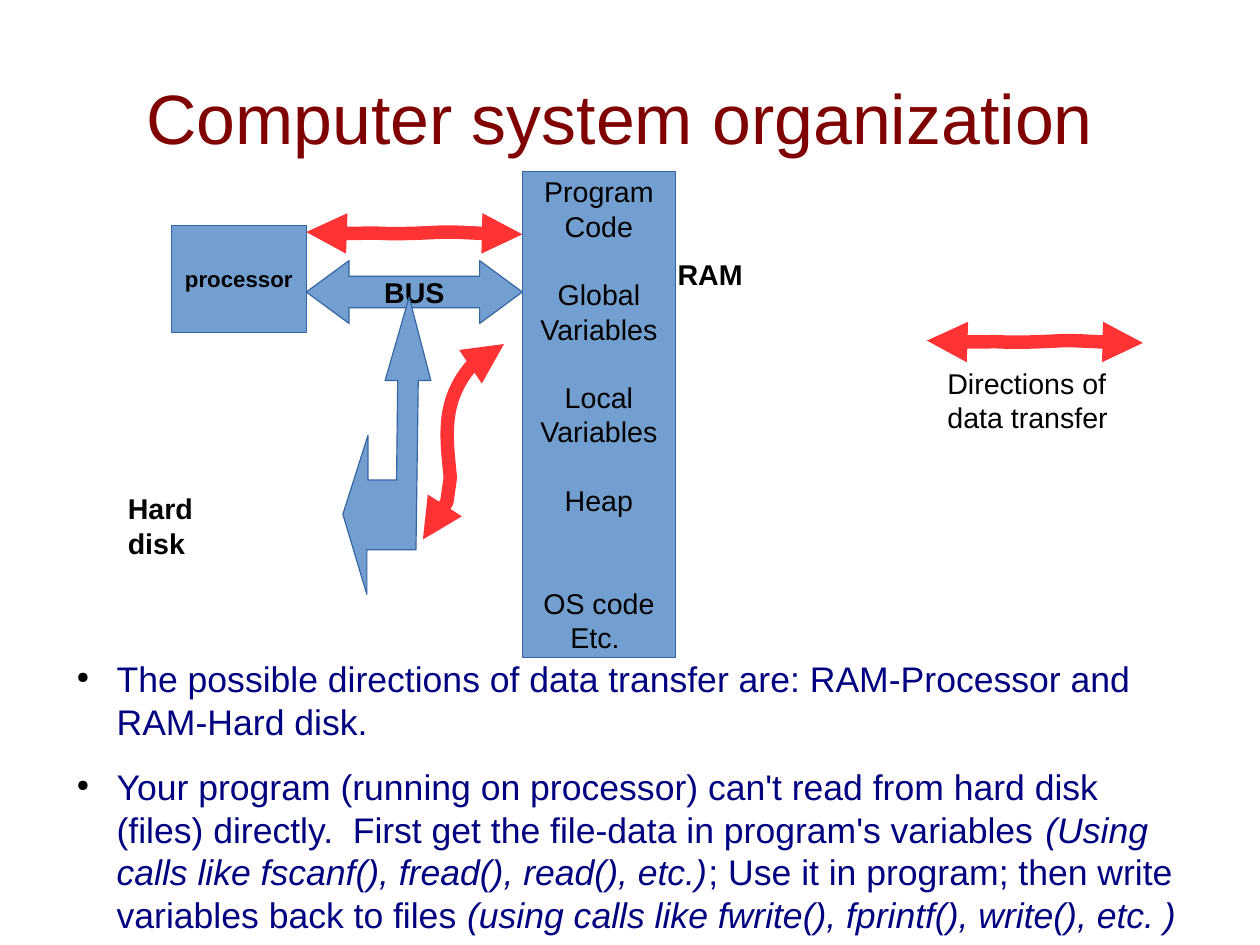
import pptx
import pptx.util
import pptx.dml.color
import pptx.enum.shapes
import pptx.enum.text
import pptx.oxml.ns
import lxml.etree

Inches = pptx.util.Inches
Pt = pptx.util.Pt
PRESET = pptx.enum.shapes.MSO_SHAPE
ALIGN = pptx.enum.text.PP_ALIGN
ANCHOR = pptx.enum.text.MSO_ANCHOR

BLACK, MAROON, NAVY = "000000", "800000", "000080"
BLUE, BLUE_EDGE, RED = "729FCF", "3465A4", "FF3333"

TITLE = "Computer system organization "
NOTES = [
    ["The possible directions of data transfer are: RAM-Processor and RAM-Hard disk."],
    ["Your program (running on processor) can't read from hard disk (files) directly.  "
     "First get the file-data in program's variables ",
     "(Using calls like fscanf(), fread(), read(), etc.)",
     "; Use it in program; then write variables back to files ",
     "(using calls like fwrite(), fprintf(), write(), etc. )"],
]
MEMORY = [
    (0, ["Program", "Code"]),
    (1, ["Global", "Variables"]),
    (1, ["Local", "Variables"]),
    (1, ["Heap"]),
    (2, ["OS code", "Etc. "]),
]
MEMORY_LINE = 21.6
LABELS = [
    ("RAM", (5.83, 2.2, 0.87, 0.38), True),
    ("Hard disk", (1.02, 4.25, 1.1, 0.66), True),
    ("Directions of data transfer", (8.19, 3.15, 1.89, 0.66), False),
]
DISK_BUS = [(3.58, 2.6), (3.37, 3.33), (3.48, 3.33), (3.47, 4.2), (3.22, 4.2), (3.22, 3.81),
            (3, 4.5), (3.21, 5.2), (3.21, 4.81), (3.64, 4.81), (3.66, 3.33), (3.77, 3.33)]
DISK_TRANSFER = [
    (4.41, 3.01),
    [(4.18, 3.08), (4, 3.31), (3.94, 3.55)],
    [(3.89, 3.76), (3.92, 3.97), (3.94, 4.18)],
    [(3.91, 4.39)], [(3.79, 4.6)], [(3.7, 4.72)],
]
WAVE = [
    (0, 0),
    [(0.2, 0.02), (0.4, 0.01), (0.61, 0.01)],
    [(0.81, 0.02), (1, 0.01), (1.2, 0)],
    [(1.4, 0), (1.59, 0.02), (1.79, 0.02)],
    [(1.89, 0.02)],
]
WAVE_STARTS = [(2.68, 2.03), (8.11, 2.98)]
CURVE_STEPS = 12

deck = pptx.Presentation()
deck.slide_width, deck.slide_height = pptx.util.Cm(28), pptx.util.Cm(21)
slide = deck.slides.add_slide(deck.slide_layouts[6])


def color(value):
    return pptx.dml.color.RGBColor.from_string(value)


def place(box):
    return [Inches(length) for length in box]


def write(text, paragraph, size=18, ink=BLACK, bold=False, italic=False, align=ALIGN.LEFT):
    paragraph.alignment = align
    run = paragraph.add_run()
    run.text = text
    run.font.name = "Arial"
    run.font.size = Pt(size)
    run.font.bold = bold
    run.font.italic = italic
    run.font.color.rgb = color(ink)


def text_frame(box, inset=True):
    frame = slide.shapes.add_textbox(*place(box)).text_frame
    frame.word_wrap = True
    if not inset:
        frame.margin_left = frame.margin_right = frame.margin_top = frame.margin_bottom = 0
    return frame


def paint(part):
    part.shadow.inherit = False
    part.fill.solid()
    part.fill.fore_color.rgb = color(BLUE)
    part.line.color.rgb = color(BLUE_EDGE)
    part.line.width = Pt(0)


def block(preset, box):
    part = slide.shapes.add_shape(preset, *place(box))
    paint(part)
    part.text_frame.word_wrap = False
    part.text_frame.vertical_anchor = ANCHOR.MIDDLE
    return part


def outline(points, close):
    corners = [place(point) for point in points]
    builder = slide.shapes.build_freeform(*corners[0], scale=1.0)
    builder.add_line_segments(corners[1:], close=close)
    return builder.convert_to_shape()


def trace(start, segments):
    points = [start]
    for segment in segments:
        if len(segment) == 1:
            points.append(segment[0])
            continue
        controls = [points[-1], *segment]
        for step in range(1, CURVE_STEPS + 1):
            t = step / CURVE_STEPS
            weights = ((1 - t) ** 3, 3 * t * (1 - t) ** 2, 3 * t * t * (1 - t), t ** 3)
            points.append(tuple(sum(w * c[axis] for w, c in zip(weights, controls))
                                for axis in (0, 1)))
    return points


def transfer(points):
    arrow = outline(points, False)
    arrow.shadow.inherit = False
    arrow.fill.background()
    arrow.line.color.rgb = color(RED)
    arrow.line.width = Pt(8.5)
    line = arrow.line._get_or_add_ln()
    for end in ("a:headEnd", "a:tailEnd"):
        lxml.etree.SubElement(line, pptx.oxml.ns.qn(end), type="triangle")


def bullet(paragraph):
    paragraph.space_after = Pt(14.2)
    props = paragraph._p.get_or_add_pPr()
    props.set("marL", str(Inches(0.47)))
    props.set("indent", str(Inches(-0.35)))
    tint = lxml.etree.SubElement(props, pptx.oxml.ns.qn("a:buClr"))
    lxml.etree.SubElement(tint, pptx.oxml.ns.qn("a:srgbClr"), val=BLACK)
    lxml.etree.SubElement(props, pptx.oxml.ns.qn("a:buSzPct"), val="45000")
    lxml.etree.SubElement(props, pptx.oxml.ns.qn("a:buChar"), char="●")


heading = text_frame((0.55, 0.33, 9.92, 1.38), inset=False)
heading.vertical_anchor = ANCHOR.MIDDLE
write(TITLE, heading.paragraphs[0], size=44, ink=MAROON, align=ALIGN.CENTER)

notes = text_frame((0.55, 5.75, 9.92, 2.13), inset=False)
for index, pieces in enumerate(NOTES):
    note = notes.add_paragraph() if index else notes.paragraphs[0]
    bullet(note)
    for order, piece in enumerate(pieces):
        write(piece, note, size=22.4, ink=NAVY, italic=order % 2 == 1)

processor = block(PRESET.RECTANGLE, (1.5, 1.97, 1.18, 0.94))
write("processor", processor.text_frame.paragraphs[0], size=14, bold=True, align=ALIGN.CENTER)

memory = block(PRESET.RECTANGLE, (4.57, 1.5, 1.34, 4.25)).text_frame
for gap, names in MEMORY:
    for order, name in enumerate(names):
        row = memory.add_paragraph() if memory.text else memory.paragraphs[0]
        if gap and order == 0:
            row.space_before = Pt(gap * MEMORY_LINE)
        write(name, row, align=ALIGN.CENTER)

bus = block(PRESET.LEFT_RIGHT_ARROW, (2.68, 2.28, 1.89, 0.55))
bus.adjustments[0], bus.adjustments[1] = 0.5, 0.68
write("BUS", bus.text_frame.paragraphs[0], bold=True, align=ALIGN.CENTER)
paint(outline(DISK_BUS, True))

transfer(trace(DISK_TRANSFER[0], DISK_TRANSFER[1:]))
wave = trace(WAVE[0], WAVE[1:])
for left, top in WAVE_STARTS:
    transfer([(left + x, top + y) for x, y in wave])

for label, box, bold in LABELS:
    write(label, text_frame(box).paragraphs[0], bold=bold)

deck.save("out.pptx")
